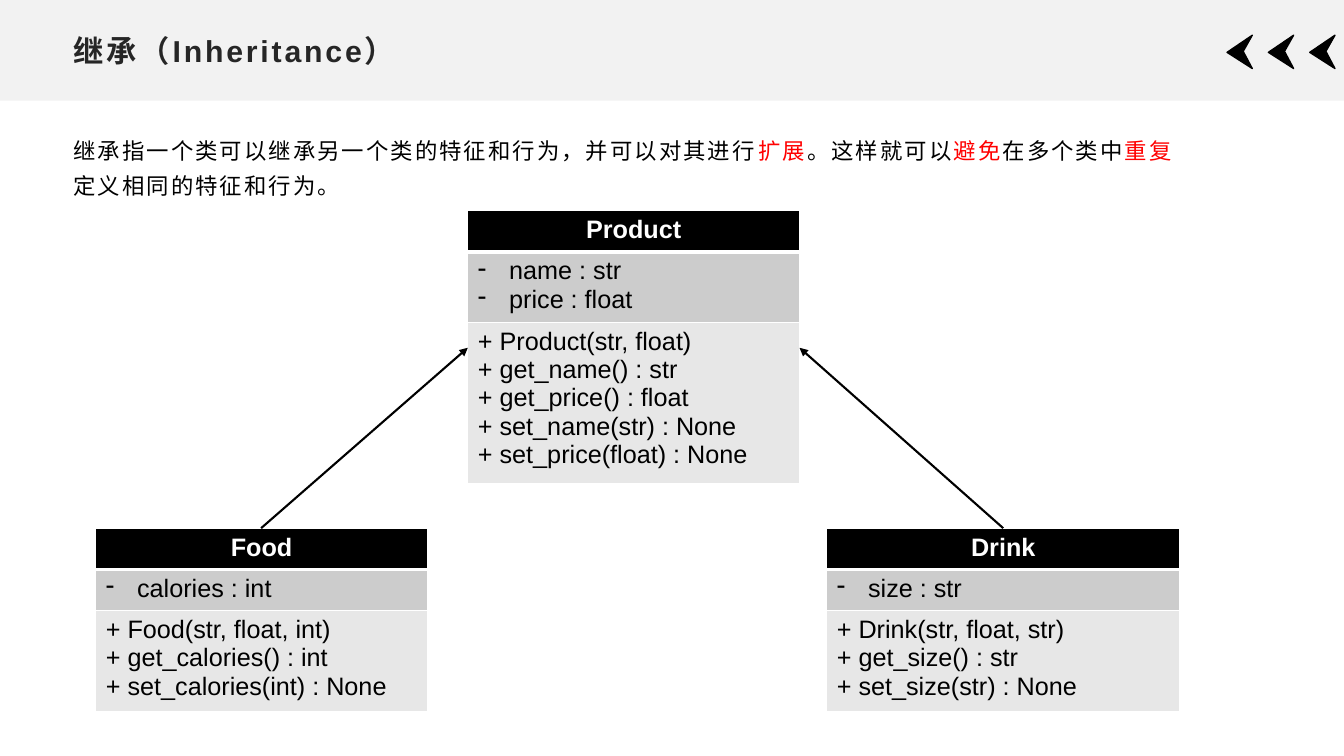
from dataclasses import dataclass

from lxml.etree import SubElement
from pptx import Presentation
from pptx.dml.color import RGBColor
from pptx.enum.shapes import MSO_CONNECTOR, MSO_SHAPE
from pptx.enum.text import MSO_ANCHOR, PP_ALIGN
from pptx.oxml.ns import qn
from pptx.util import Inches, Pt


@dataclass(frozen=True)
class Theme:
    """Colours, font and type sizes of the slide."""
    font: str = "Arial"
    black: str = "000000"
    white: str = "FFFFFF"
    red: str = "FF0000"
    title: str = "262626"
    band: str = "F2F2F2"
    field: str = "CCCCCC"
    method: str = "E7E7E7"
    head_size: float = 21.6
    body_size: float = 16
    cell_size: float = 18


THEME = Theme()
LINE = 0.28
ROW = 0.41


def apply(target, values):
    """Set each named value on the target."""
    for name, value in values.items():
        setattr(target, name, value)


def paint(fill, color):
    """Give a fill one solid colour."""
    fill.solid()
    fill.fore_color.rgb = RGBColor.from_string(color)


def add_run(para, text, size, color, bold=False, space=0):
    """Add a run of styled text, with letter spacing in points."""
    run = para.add_run()
    run.text = text
    apply(run.font, {"name": THEME.font, "size": Pt(size), "bold": bold})
    run.font.color.rgb = RGBColor.from_string(color)
    if space:
        run.font._element.set("spc", str(int(space * 100)))


def add_text(slide, box, runs, size, space, bold=False, anchor=MSO_ANCHOR.TOP, **form):
    """Add a wrapped text box holding one paragraph of coloured runs."""
    frame = slide.shapes.add_textbox(*map(Inches, box)).text_frame
    apply(frame, {"word_wrap": True, "vertical_anchor": anchor})
    para = frame.paragraphs[0]
    apply(para, form)
    for text, color in runs:
        add_run(para, text, size, color, bold, space)


def add_band(slide):
    """Add the pale band behind the title."""
    size = Inches(0), Inches(0), Inches(13.33), Inches(1)
    band = slide.shapes.add_shape(MSO_SHAPE.RECTANGLE, *size)
    band.shadow.inherit = False
    paint(band.fill, THEME.band)
    band.line.fill.background()


def add_chevron(slide, left):
    """Add one notched arrowhead pointing left."""
    points = [(left + x, y) for x, y in ((0.25, 0.68), (0, 0.52), (0.25, 0.35), (0.16, 0.51))]
    start, *rest = [(Inches(x), Inches(y)) for x, y in points]
    draft = slide.shapes.build_freeform(*start)
    draft.add_line_segments(rest, close=True)
    mark = draft.convert_to_shape()
    mark.shadow.inherit = False
    paint(mark.fill, THEME.black)
    paint(mark.line.fill, THEME.black)
    mark.line.width = Pt(1)


def edge_cell(cell, widths):
    """Draw white borders of the given widths around a cell."""
    props = cell._tc.get_or_add_tcPr()
    for side, width in widths.items():
        edge = SubElement(props, qn(f"a:ln{side}"), w=str(Pt(width)))
        fill = SubElement(edge, qn("a:solidFill"))
        SubElement(fill, qn("a:srgbClr"), val=THEME.white)


def add_dash(para):
    """Give a paragraph a hanging dash bullet."""
    props = para._p.get_or_add_pPr()
    indent = Inches(0.31)
    apply_xml = {"marL": indent, "indent": -indent}
    for name, value in apply_xml.items():
        props.set(name, str(value))
    SubElement(props, qn("a:buFontTx"))
    SubElement(props, qn("a:buChar"), char="-")


def add_class(slide, left, top, width, name, fields, methods):
    """Add a class table with its name, fields and methods."""
    rows = (
        ([name], THEME.black, THEME.white),
        (fields, THEME.field, THEME.black),
        ([f"+ {item}" for item in methods], THEME.method, THEME.black),
    )
    highs = [max(ROW, LINE * len(lines) + 0.1) for lines, _, _ in rows]
    box = map(Inches, (left, top, width, sum(highs)))
    table = slide.shapes.add_table(len(rows), 1, *box).table
    apply(table, {"first_row": False, "horz_banding": False})
    for index, (lines, fill, color) in enumerate(rows):
        table.rows[index].height = Inches(highs[index])
        cell = table.cell(index, 0)
        edge_cell(cell, {"L": 1, "R": 1, "T": 3 if index == 1 else 1, "B": 3 if index == 0 else 1})
        paint(cell.fill, fill)
        frame = cell.text_frame
        for number, line in enumerate(lines):
            para = frame.add_paragraph() if number else frame.paragraphs[0]
            if index == 0:
                para.alignment = PP_ALIGN.CENTER
            if index == 1:
                add_dash(para)
            add_run(para, line, THEME.cell_size, color, bold=index == 0)


def add_arrow(slide, start, end):
    """Add a straight arrow from a child class to its parent."""
    arrow = slide.shapes.add_connector(MSO_CONNECTOR.STRAIGHT, *map(Inches, start + end))
    paint(arrow.line.fill, THEME.black)
    arrow.line.width = Pt(1.5)
    SubElement(arrow.line._get_or_add_ln(), qn("a:tailEnd"), type="triangle")
    SubElement(arrow._element.spPr, qn("a:effectLst"))


def main():
    """Build and save the slide."""
    deck = Presentation()
    apply(deck, {"slide_width": Inches(13.33), "slide_height": Inches(7.5)})
    slide = deck.slides.add_slide(deck.slide_layouts[6])
    add_band(slide)
    for step in range(3):
        add_chevron(slide, 12.17 + 0.41 * step)
    add_text(slide, (0.63, 0.26, 12.07, 0.48), [("继承（Inheritance）", THEME.title)],
             THEME.head_size, 2, bold=True, anchor=MSO_ANCHOR.MIDDLE)
    body = [
        ("继承指一个类可以继承另一个类的特征和行为，并可以对其进行", THEME.black),
        ("扩展", THEME.red),
        ("。这样就可以", THEME.black),
        ("避免", THEME.red),
        ("在多个类中", THEME.black),
        ("重复", THEME.red),
        ("定义相同的特征和行为。", THEME.black),
    ]
    add_text(slide, (0.63, 1.23, 11.3, 0.86), body, THEME.body_size, 1.5,
             line_spacing=1.3, space_after=Pt(10))
    add_class(slide, 4.64, 2.09, 3.29, "Product", ["name : str", "price : float"],
              ["Product(str, float)", "get_name() : str", "get_price() : float",
               "set_name(str) : None", "set_price(float) : None"])
    add_class(slide, 0.95, 5.24, 3.29, "Food", ["calories : int"],
              ["Food(str, float, int)", "get_calories() : int", "set_calories(int) : None"])
    add_class(slide, 8.2, 5.24, 3.5, "Drink", ["size : str"],
              ["Drink(str, float, str)", "get_size() : str", "set_size(str) : None"])
    add_arrow(slide, (2.59, 5.24), (4.64, 3.45))
    add_arrow(slide, (9.95, 5.24), (7.93, 3.45))
    deck.save("out.pptx")


if __name__ == "__main__":
    main()
